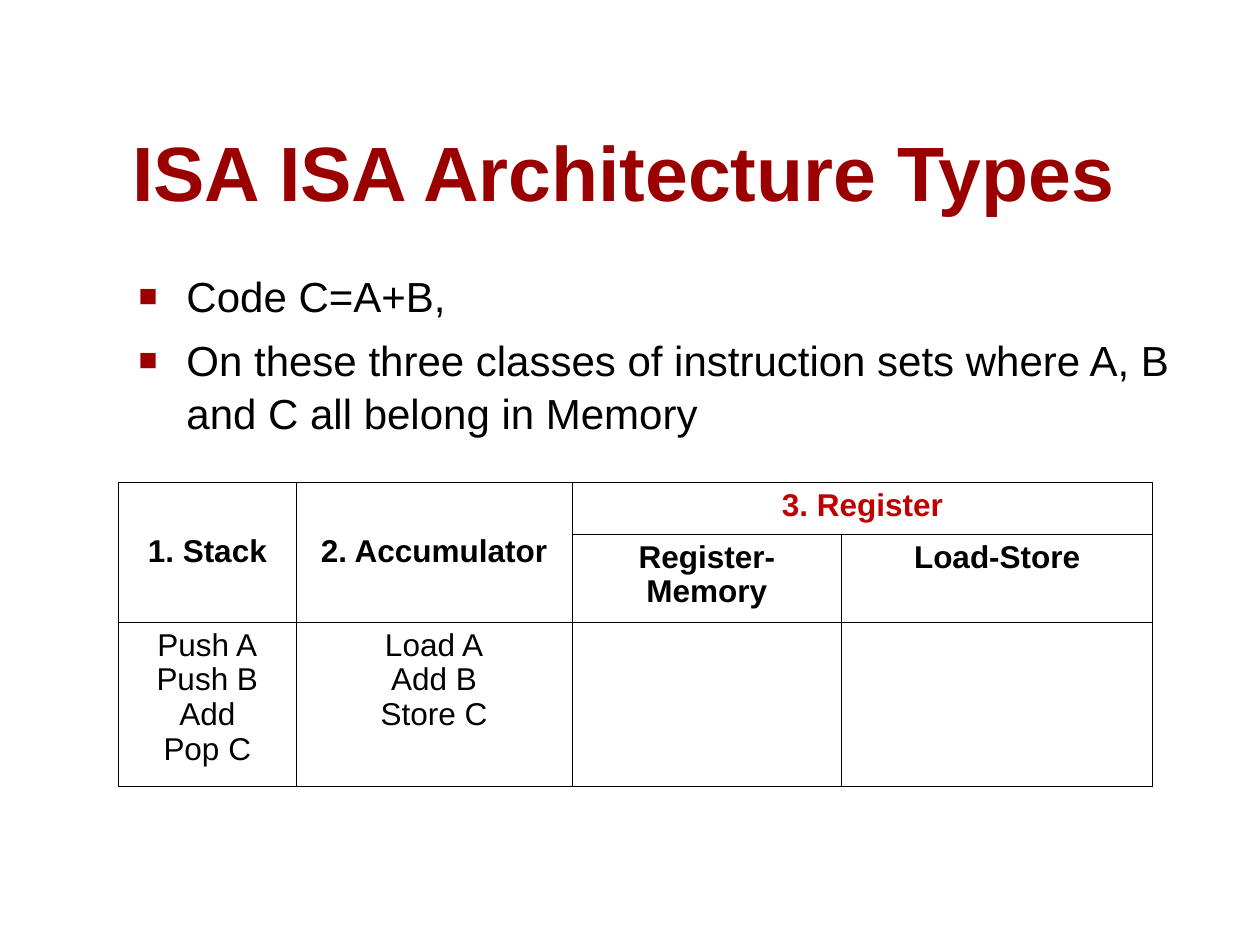
from dataclasses import dataclass

import pptx
import pptx.dml.color
import pptx.enum.text
import pptx.oxml
import pptx.oxml.ns
import pptx.util

RGBColor = pptx.dml.color.RGBColor
Anchor = pptx.enum.text.MSO_ANCHOR
Align = pptx.enum.text.PP_ALIGN
Inches = pptx.util.Inches

TITLE_RED = RGBColor(0x9A, 0x00, 0x00)
REGISTER_RED = RGBColor(0xC0, 0x00, 0x00)
BLACK = RGBColor(0x00, 0x00, 0x00)

FONT = "Arial"
SLIDE_SIZE = (10, 7.5)
BULLET_INDENT = 0.38
BORDER_POINTS = 0.45
COLUMN_WIDTHS = (1.41, 2.19, 2.14, 2.47)
ROW_HEIGHTS = (0.41, 0.7, 1.3)

CLASSES_TEXT = (
    "Code C=A+B,",
    "On these three classes of instruction sets where A, B and C all belong in Memory",
)


@dataclass(frozen=True)
class Entry:
    """Text of a table cell, with its place and span on the table's grid."""
    row: int
    column: int
    text: str
    bold: bool = True
    color: RGBColor = BLACK
    row_span: int = 1
    column_span: int = 1


ENTRIES = (
    Entry(0, 0, "1. Stack", row_span=2),
    Entry(0, 1, "2. Accumulator", row_span=2),
    Entry(0, 2, "3. Register", color=REGISTER_RED, column_span=2),
    Entry(1, 2, "Register-Memory"),
    Entry(1, 3, "Load-Store"),
    Entry(2, 0, "Push A\nPush B\nAdd\nPop C", bold=False),
    Entry(2, 1, "Load A\nAdd B\nStore C", bold=False),
)


def place(shape, left: float, top: float, width: float, height: float) -> None:
    shape.left, shape.top = Inches(left), Inches(top)
    shape.width, shape.height = Inches(width), Inches(height)


def style(paragraph, size: float, color: RGBColor, bold: bool = False) -> None:
    for run in paragraph.runs:
        run.font.name = FONT
        run.font.size = pptx.util.Pt(size)
        run.font.bold = bold
        run.font.color.rgb = color


def add_square_bullet(paragraph) -> None:
    properties = paragraph._p.get_or_add_pPr()
    properties.set("marL", str(Inches(BULLET_INDENT)))
    properties.set("indent", str(-Inches(BULLET_INDENT)))
    for bullet_part in (
        f'<a:buClr %s><a:srgbClr val="{TITLE_RED}"/></a:buClr>',
        '<a:buSzPct %s val="75000"/>',
        f'<a:buFont %s typeface="{FONT}"/>',
        '<a:buChar %s char="■"/>',
    ):
        properties.append(pptx.oxml.parse_xml(bullet_part % pptx.oxml.ns.nsdecls("a")))


def outline_cell(cell) -> None:
    cell.fill.background()
    properties = cell._tc.get_or_add_tcPr()
    for position, side in enumerate("LRTB"):
        border = pptx.oxml.parse_xml(
            f'<a:ln{side} {pptx.oxml.ns.nsdecls("a")} w="{pptx.util.Pt(BORDER_POINTS)}">'
            f'<a:solidFill><a:srgbClr val="{BLACK}"/></a:solidFill></a:ln{side}>'
        )
        properties.insert(position, border)


def fill_title(title) -> None:
    place(title, 0.95, 0.94, 8.93, 0.83)
    frame = title.text_frame
    frame.text = "ISA ISA Architecture Types"
    frame.auto_size = pptx.enum.text.MSO_AUTO_SIZE.NONE
    frame.vertical_anchor = Anchor.BOTTOM
    frame.paragraphs[0].alignment = Align.LEFT
    style(frame.paragraphs[0], 44, TITLE_RED, bold=True)


def fill_body(body) -> None:
    place(body, 1, 2.08, 8.87, 4.58)
    frame = body.text_frame
    frame.text = "\n".join(CLASSES_TEXT)
    frame.auto_size = pptx.enum.text.MSO_AUTO_SIZE.NONE
    for number, paragraph in enumerate(frame.paragraphs):
        add_square_bullet(paragraph)
        paragraph.line_spacing = 1.05
        paragraph.space_before = pptx.util.Pt(6 if number else 0)
        style(paragraph, 24, BLACK)


def add_code_table(slide) -> None:
    table = slide.shapes.add_table(
        len(ROW_HEIGHTS), len(COLUMN_WIDTHS), Inches(0.94), Inches(3.83),
        Inches(sum(COLUMN_WIDTHS)), Inches(sum(ROW_HEIGHTS)),
    ).table
    table.first_row = table.horz_banding = False
    for column, width in zip(table.columns, COLUMN_WIDTHS):
        column.width = Inches(width)
    for row, height in zip(table.rows, ROW_HEIGHTS):
        row.height = Inches(height)
    for cell in table.iter_cells():
        outline_cell(cell)

    for entry in ENTRIES:
        cell = table.cell(entry.row, entry.column)
        if entry.row_span > 1 or entry.column_span > 1:
            cell.merge(table.cell(entry.row + entry.row_span - 1,
                                  entry.column + entry.column_span - 1))
        cell.vertical_anchor = Anchor.MIDDLE if entry.row_span > 1 else Anchor.TOP
        cell.text_frame.text = entry.text
        for paragraph in cell.text_frame.paragraphs:
            paragraph.alignment = Align.CENTER
            paragraph.line_spacing = 0.98
            style(paragraph, 18, entry.color, entry.bold)


def main() -> None:
    presentation = pptx.Presentation()
    presentation.slide_width, presentation.slide_height = map(Inches, SLIDE_SIZE)
    slide = presentation.slides.add_slide(presentation.slide_layouts[1])
    fill_title(slide.shapes.title)
    fill_body(slide.placeholders[1])
    add_code_table(slide)
    presentation.save("out.pptx")


if __name__ == "__main__":
    main()
